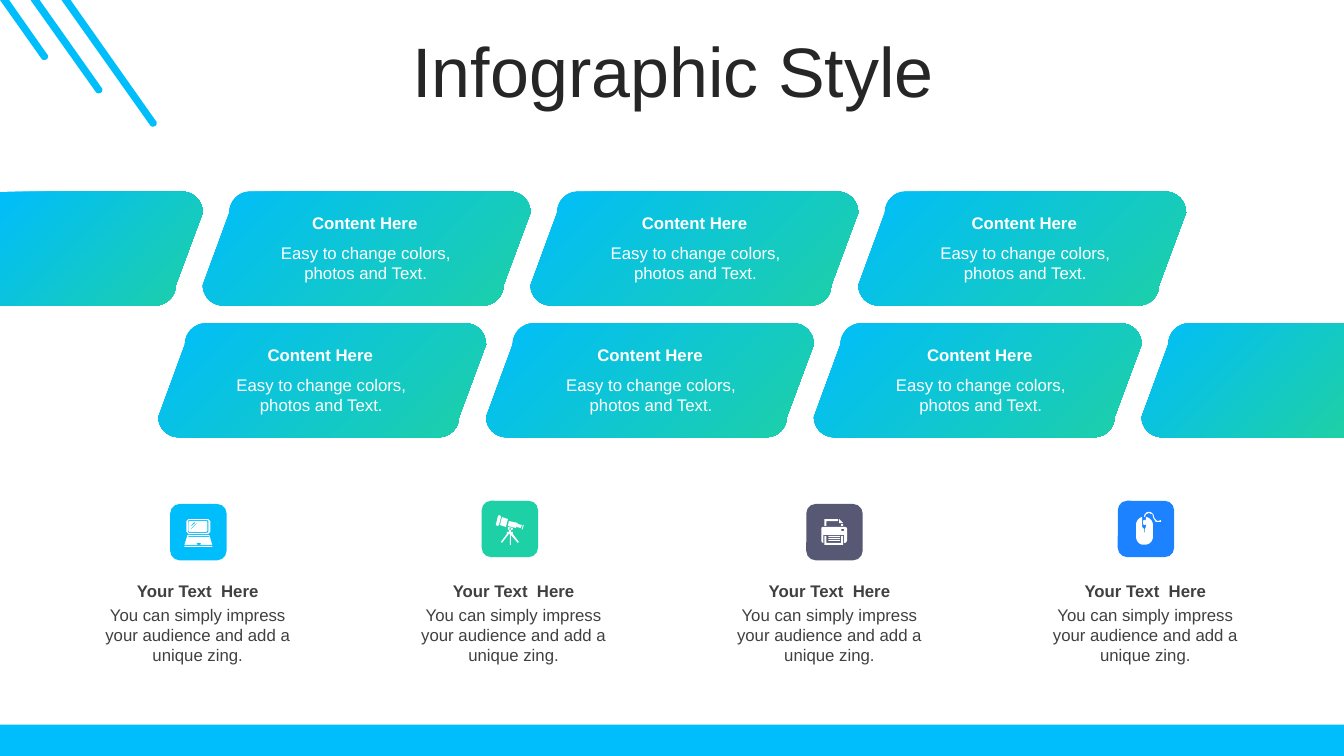
from pptx import Presentation
from pptx.dml.color import RGBColor
from pptx.enum.shapes import MSO_SHAPE
from pptx.enum.text import MSO_ANCHOR, MSO_AUTO_SIZE, PP_ALIGN
from pptx.util import Cm, Pt

RECT, ROUND = MSO_SHAPE.RECTANGLE, MSO_SHAPE.ROUNDED_RECTANGLE
MIDDLE, TOP = MSO_ANCHOR.MIDDLE, MSO_ANCHOR.TOP
FIXED, CENTER = MSO_AUTO_SIZE.NONE, PP_ALIGN.CENTER
HEX = {"sky": "00BDFB", "mint": "1ED0A6", "slate": "565874", "blue": "1C82FF",
       "white": "FFFFFF", "ink": "262626", "gray": "404040"}
WIDE, HIGH = 33.87, 19.05


def flat(track, steps=8):
    """Turn a track of (x, y) corners and six-number Bezier curves into points."""
    points = []
    for item in track:
        if len(item) == 2:
            points.append(item)
            continue
        x, y = points[-1]
        a, b, c, d, e, f = item
        for step in range(1, steps + 1):
            t = step / steps
            s = 1 - t
            points.append((s**3 * x + 3*s*s*t * a + 3*s*t*t * c + t**3 * e,
                           s**3 * y + 3*s*s*t * b + 3*s*t*t * d + t**3 * f))
    return points


def box(l, t, r, b, cut=0):
    """Outline a rectangle whose corners are cut off."""
    if not cut:
        return [(l, t), (r, t), (r, b), (l, b)]
    return [(l + cut, t), (r - cut, t), (r, t + cut), (r, b - cut),
            (r - cut, b), (l + cut, b), (l, b - cut), (l, t + cut)]


class Deck:
    def __init__(self):
        self.show = Presentation()
        self.show.slide_width, self.show.slide_height = Cm(WIDE), Cm(HIGH)
        self.slide = self.show.slides.add_slide(self.show.slide_layouts[5])
        self.shapes = self.slide.shapes
        self.font = "Arial"

    def color(self, name):
        return RGBColor.from_string(HEX[name])

    def paint(self, shape, name):
        shape.shadow.inherit = False
        shape.line.fill.background()
        if name == "blend":
            shape.fill.gradient()
            shape.fill.gradient_angle = 315
            for stop, tone in zip(shape.fill.gradient_stops, ("sky", "mint")):
                stop.color.rgb = self.color(tone)
        else:
            shape.fill.solid()
            shape.fill.fore_color.rgb = self.color(name)

    def label(self, shape, text, size, tone, bold=False, anchor=TOP):
        frame = shape.text_frame
        frame.text = text
        frame.word_wrap = True
        frame.auto_size = FIXED
        frame.vertical_anchor = anchor
        line = frame.paragraphs[0]
        line.alignment = CENTER
        line.font.name, line.font.size, line.font.bold = self.font, Pt(size), bold
        line.font.color.rgb = self.color(tone)
        return line

    def title(self, text, x, y, w, h):
        shape = self.shapes.title
        shape.left, shape.top, shape.width, shape.height = Cm(x), Cm(y), Cm(w), Cm(h)
        line = self.label(shape, text, 50, "ink", anchor=MIDDLE)
        line.line_spacing = 0.8
        line.space_before = Pt(0)

    def text(self, text, x, y, w, h, tone, bold=False):
        shape = self.shapes.add_textbox(Cm(x), Cm(y), Cm(w), Cm(h))
        self.label(shape, text, 12, tone, bold)

    def block(self, kind, x, y, w, h, tone):
        self.paint(self.shapes.add_shape(kind, Cm(x), Cm(y), Cm(w), Cm(h)), tone)

    def draw(self, tracks, x, y, tone, unit=1):
        """Draw closed tracks as one shape; tracks inside others become holes."""
        pen = None
        for track in tracks:
            first, *rest = [(Cm(x + a * unit), Cm(y + b * unit)) for a, b in flat(track)]
            if pen is None:
                pen = self.shapes.build_freeform(*first, scale=1.0)
            else:
                pen.move_to(*first)
            pen.add_line_segments(rest, close=True)
        self.paint(pen.convert_to_shape(), tone)


def stripe(left, x, y):
    """Outline a slanted stripe from the top edge to a round end near x, y."""
    return [(left + 0.23, 0), (left, 0), (x, y),
            (x + 0.03, y + 0.05, x + 0.08, y + 0.05, x + 0.13, y + 0.03),
            (x + 0.18, y, x + 0.18, y - 0.08, x + 0.15, y - 0.1)]


# Panel outline in cm: left half, then right half
HEAD = [(0.51, 2.87), (0.23, 2.87, 0, 2.64, 0, 2.36),
        (0.67, 0.53), (0.67, 0.24, 0.9, 0, 1.18, 0)]
TAIL = [(7.74, 0), (8.03, 0, 8.26, 0.23, 8.26, 0.53),
        (7.58, 2.36), (7.58, 2.64, 7.35, 2.87, 7.06, 2.87)]
PITCH = 8.26
ROWS = [(5.11, 4.83), (3.99, 8.15)]

# Icon outlines on a grid of 40 units to the cm
GRID = 1 / 40
LAPTOP = [box(0, 27, 28, 28), box(12, 24, 17, 26, 1), box(4, 17, 25, 18),
          [(3, 16), (25, 16), (28, 26), (0, 26)],
          [(12, 4), (6, 10), (7, 10), (12.5, 4.5)],
          [(10, 3), (6, 7), (7, 7), (11, 4)],
          box(4, 2, 23, 13, 1), box(3.5, 1, 24, 14, 1), box(2, 0, 26, 15, 2)]
SCOPE = [box(13.5, 13, 15, 15, 0.5),
         [(12, 12), (17, 13), (17, 14), (16, 15), (15, 15), (15, 17), (17, 17),
          (17, 19), (23, 27), (22, 28), (15, 20), (15, 30), (14, 30), (14, 19),
          (13, 19), (6, 28), (5, 27), (11, 19), (11, 17), (13, 17), (13, 15), (12, 14)],
         [(27, 10), (28, 10), (27, 14), (26, 15), (26, 14)],
         [(22, 9), (26, 10), (25, 13), (21, 12)],
         [(13, 6), (22, 8), (20, 13), (12, 11)],
         [(6, 2), (12, 4), (10, 12), (4, 10)],
         [(3, 0), (5, 1), (5, 2), (3, 10), (2, 11), (0, 10), (0, 9), (2, 1)]]
PRINTER = [box(7, 17, 19, 18), box(7, 19, 19, 20), box(7, 21, 19, 22),
           [(3, 17), (5, 17), (5, 24), (20, 24), (20, 17), (22, 17), (22, 26), (3, 26)],
           box(20, 10, 23, 12, 0.5),
           [(2, 8), (24, 8), (25, 8, 26, 9, 26, 10), (26, 21), (26, 22, 25, 24, 24, 24),
            (23, 24), (23, 16), (2, 16), (2, 24), (0, 24, 0, 22, 0, 21),
            (0, 10), (0, 9, 0, 8, 2, 8)],
           box(20, 5, 22, 7), [(18, 0), (22, 4), (18, 4)],
           [(3, 0), (17, 0), (17, 2), (5, 2), (5, 7), (3, 7)]]
MOUSE = [box(7, 8, 10, 13, 1),
         [(6, 5), (6, 15), (8, 17), (8, 20), (8.5, 21), (9, 20), (9, 17), (10, 15),
          (10, 5), (14, 6, 17, 9, 17, 13), (17, 25), (17, 29, 14, 33, 9, 33),
          (7, 33), (3, 33, 0, 29, 0, 25), (0, 13), (0, 9, 3, 6, 6, 5)],
         [(13, 0), (14, 0, 15, 0, 16, 1), (17, 2, 18, 3, 18, 5), (19, 7, 20, 8, 21, 9),
          (22, 9, 24, 9, 25, 8), (25, 10), (23, 10, 22, 10, 20, 10),
          (19, 9, 18, 7, 17, 5), (17, 4, 17, 2, 15, 2), (14, 1, 12, 1, 11, 2),
          (10, 2, 9, 4, 9, 5), (8, 5), (8, 3, 9, 2, 10, 1), (11, 0, 12, 0, 13, 0)]]
# Tile left, top and colour; icon and its offset in the tile
TILES = [(4.29, 12.7, "sky", LAPTOP, 0.36, 0.38),
         (12.14, 12.62, "mint", SCOPE, 0.36, 0.36),
         (20.32, 12.7, "slate", PRINTER, 0.38, 0.38),
         (28.17, 12.62, "blue", MOUSE, 0.46, 0.28)]


def main():
    deck = Deck()
    deck.title("Infographic Style", 0.89, 0.94, 32.16, 2)
    deck.block(RECT, 0, 18.26, WIDE, 0.79, "sky")
    deck.draw([stripe(0, 1.04, 1.47), stripe(0.77, 2.41, 2.31),
               stripe(1.55, 3.78, 3.15)], 0, 0, "sky")

    for left, top in ROWS:
        for col in range(3):
            deck.draw([HEAD + TAIL], left + col * PITCH, top, "blend")
    (left, top), (start, low) = ROWS
    edge = PITCH - left
    deck.draw([[(edge, 0)] + TAIL + [(edge, 2.87)]], -edge, top, "blend")
    last = start + 3 * PITCH
    deck.draw([HEAD + [(WIDE - last, 0), (WIDE - last, 2.87)]], last, low, "blend")

    for left, top in ROWS:
        for col in range(3):
            x = left + 1.42 + col * 8.31
            deck.text("Easy to change colors, photos and Text.",
                      x, top + 1.17, 5.38, 1.27, "white")
            deck.text("Content Here", x, top + 0.4, 5.33, 0.76, "white", True)

    for col, (left, top, tone, icon, dx, dy) in enumerate(TILES):
        x = 2.18 + col * 7.96
        deck.text("You can simply impress your audience and add a unique zing.",
                  x, 15.11, 5.61, 1.8, "gray")
        deck.text("Your Text  Here", x, 14.5, 5.61, 0.76, "gray", True)
        deck.block(ROUND, left, top, 1.42, 1.42, tone)
        deck.draw(icon, left + dx, top + dy, "white", GRID)
    deck.show.save("out.pptx")


if __name__ == "__main__":
    main()
